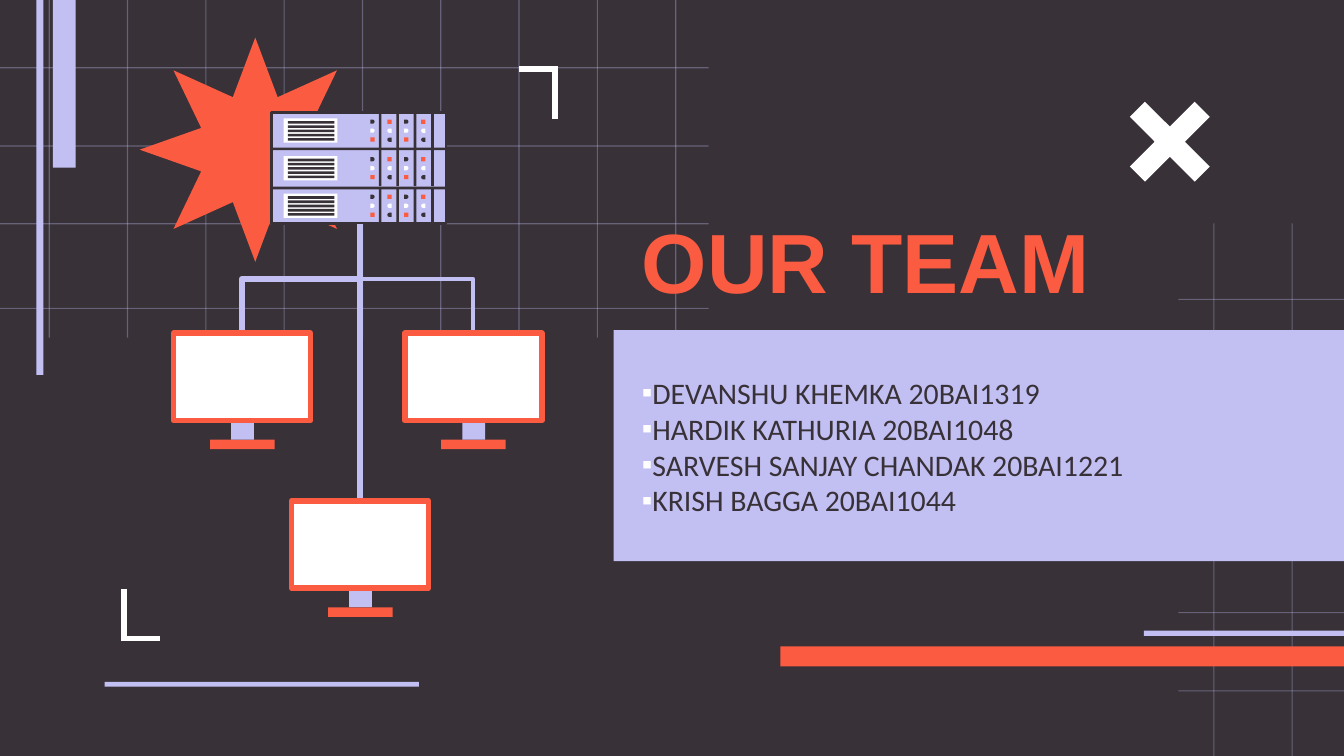
"""Build the team slide with its server and three screens."""
from typing import NamedTuple, Optional

from lxml.etree import SubElement
from pptx import Presentation
from pptx.dml.color import RGBColor
from pptx.enum.shapes import MSO_CONNECTOR, MSO_SHAPE
from pptx.enum.text import MSO_ANCHOR, MSO_AUTO_SIZE, PP_ALIGN
from pptx.oxml.ns import qn
from pptx.util import Cm, Pt

DARK, LILAC, CORAL, WHITE = "383138", "C2C0F2", "FA5B41", "FFFFFF"
WIDE, HIGH = 25.4, 14.29
STEP = 1.48
RECT, DELAY = MSO_SHAPE.RECTANGLE, MSO_SHAPE.FLOWCHART_DELAY


class Box(NamedTuple):
    left: float
    top: float
    width: float
    height: float


class Line(NamedTuple):
    x1: float
    y1: float
    x2: float
    y2: float


class Lamp(NamedTuple):
    kind: MSO_SHAPE
    tint: str


class Point(NamedTuple):
    x: float
    y: float


BARS = [
    (Box(14.75, 12.22, 10.65, 0.38), CORAL),
    (Box(21.62, 11.92, 3.78, 0.1), LILAC),
    (Box(1.98, 12.89, 5.94, 0.09), LILAC),
    (Box(1, 0, 0.43, 3.17), LILAC),
    (Box(0.69, 0, 0.13, 7.09), LILAC),
    (Box(11.6, 6.24, 13.8, 4.37), LILAC),
]
EDGES = [
    Line(10.49, 2.24, 10.49, 1.3),
    Line(10.54, 1.3, 9.8, 1.3),
    Line(2.34, 11.13, 2.34, 12.07),
    Line(2.29, 12.07, 3.02, 12.07),
]
LAMPS = [Lamp(DELAY, DARK), Lamp(DELAY, WHITE), Lamp(RECT, CORAL)]
SCREENS = [Point(3.28, 6.3), Point(7.65, 6.3), Point(5.51, 9.47)]
HUB = Point(6.81, 4.24)
TEAM = [
    "DEVANSHU KHEMKA 20BAI1319",
    "HARDIK KATHURIA 20BAI1048",
    "SARVESH SANJAY CHANDAK 20BAI1221",
    "KRISH BAGGA 20BAI1044",
]


def paint(color, tint: str) -> None:
    color.rgb = RGBColor.from_string(tint)


def draw(slide, box: Box, tint: str, kind=RECT, edge: Optional[str] = None,
         weight: float = 0, adjust: Optional[float] = None):
    shape = slide.shapes.add_shape(kind, *map(Cm, box))
    shape.shadow.inherit = False
    shape.fill.solid()
    paint(shape.fill.fore_color, tint)
    if edge:
        paint(shape.line.color, edge)
        shape.line.width = Pt(weight)
    else:
        shape.line.fill.background()
    if adjust is not None:
        shape.adjustments[0] = adjust
    return shape


def link(slide, line: Line, tint: str, weight: float,
         kind=MSO_CONNECTOR.STRAIGHT):
    wire = slide.shapes.add_connector(kind, *map(Cm, line))
    paint(wire.line.color, tint)
    wire.line.width = Pt(weight)
    SubElement(wire.element.spPr, qn("a:effectLst"))
    return wire


def draw_grid(slide) -> None:
    left = [Line(0.93 + STEP * i, 0, 0.93 + STEP * i, 6.38) for i in range(9)]
    left += [Line(0, y, 13.39, y) for y in (1.28, 2.76, 4.23, 5.83)]
    right = [Line(22.27, 5.66 + STEP * i, WIDE, 5.66 + STEP * i)
             for i in range(6)]
    right += [Line(x, 4.22, x, HIGH) for x in (22.94, 24.42)]
    for line in right + left:
        wire = link(slide, line, LILAC, 0.6)
        color = next(wire.element.iter(qn("a:srgbClr")))
        SubElement(color, qn("a:alpha"), val="35000")


def draw_cable(slide, end: Point, weight: float) -> None:
    drop, run = end.y - HUB.y, abs(end.x - HUB.x)
    x, y = (HUB.x + end.x) / 2, (HUB.y + end.y) / 2
    side, turn = (-1, 90) if end.x < HUB.x else (1, 270)
    line = Line(x + side * drop / 2, y - run / 2,
                x - side * drop / 2, y + run / 2)
    wire = link(slide, line, LILAC, weight, MSO_CONNECTOR.ELBOW)
    wire.element.spPr.xfrm.rot = turn


def draw_rack(slide, top: float) -> None:
    draw(slide, Box(5.36, top + 0.11, 1.02, 0.46), WHITE)
    for i in range(5):
        draw(slide, Box(5.44, top + 0.16 + 0.08 * i, 0.88, 0.05), DARK)
    for i in range(4):
        odd = i % 2
        for j, lamp in enumerate(LAMPS[::-1] if odd else LAMPS):
            box = Box(7 + 0.32 * i, top + 0.13 + 0.17 * j, 0.08, 0.08)
            draw(slide, box, lamp.tint, lamp.kind).rotation = 180 * odd
        draw(slide, Box(7.16 + 0.33 * i, top, 0.05, 0.68), DARK)


def draw_server(slide) -> None:
    draw(slide, Box(5.13, 2.13, 3.3, 2.1), LILAC, edge=DARK, weight=1.5)
    for i in range(3):
        draw_rack(slide, 2.13 + 0.71 * i)
    for y in (2.79, 3.53):
        draw(slide, Box(5.16, y, 3.3, 0.05), DARK)


def draw_screen(slide, at: Point) -> None:
    draw(slide, Box(at.x + 0.69, at.y + 2.01, 1.22, 0.18), CORAL)
    draw(slide, Box(at.x + 1.09, at.y + 1.65, 0.43, 0.36), LILAC)
    draw(slide, Box(*at, 2.59, 1.65), WHITE, edge=CORAL, weight=3)


def write(slide, holder, box: Box, lines: list[str], font: str, size: float,
          tint: str, bold: bool = False, mark: Optional[str] = None) -> None:
    slide.shapes.element.append(holder.element)
    holder.left, holder.top, holder.width, holder.height = map(Cm, box)
    frame = holder.text_frame
    frame.text = "\n".join(lines)
    frame.word_wrap = True
    frame.auto_size = MSO_AUTO_SIZE.NONE
    frame.vertical_anchor = MSO_ANCHOR.MIDDLE
    frame.margin_left = frame.margin_right = Cm(0.25)
    frame.margin_top = frame.margin_bottom = Cm(0.25)
    for para in frame.paragraphs:
        para.alignment = PP_ALIGN.LEFT
        para.space_before = Pt(0)
        if mark:
            props = para._p.get_or_add_pPr()
            props.set("marL", "0")
            props.set("indent", "0")
            color = SubElement(props, qn("a:buClr"))
            SubElement(color, qn("a:srgbClr"), val=WHITE)
            SubElement(props, qn("a:buFont"), typeface="Arial")
            SubElement(props, qn("a:buChar"), char=mark)
        para.font.name, para.font.size = font, Pt(size)
        para.font.bold = bold
        paint(para.font.color, tint)


def main() -> None:
    deck = Presentation()
    deck.slide_width, deck.slide_height = Cm(WIDE), Cm(HIGH)
    slide = deck.slides.add_slide(deck.slide_layouts[1])
    slide.background.fill.solid()
    paint(slide.background.fill.fore_color, DARK)
    title, body = slide.placeholders

    draw_grid(slide)
    for box, tint in BARS:
        draw(slide, box, tint)
    draw(slide, Box(20.93, 1.5, 2.36, 2.36), WHITE,
         MSO_SHAPE.MATH_MULTIPLY, adjust=0.171)
    write(slide, title, Box(11.88, 3.87, 10.8, 2.1), ["OUR TEAM"],
          "Arial", 45, CORAL, bold=True)
    write(slide, body, Box(11.88, 6.53, 10.8, 3.81), TEAM,
          "Calibri", 16, DARK, mark="▪")
    for line in EDGES:
        link(slide, line, WHITE, 3)
    draw(slide, Box(2.64, 0.71, 4.37, 4.24), CORAL,
         MSO_SHAPE.STAR_8_POINT, adjust=0.253)
    draw_cable(slide, Point(4.57, 6.3), 3)
    draw_cable(slide, Point(8.94, 6.3), 2.25)
    draw_server(slide)
    draw_cable(slide, Point(HUB.x, 9.47), 3)
    for at in SCREENS:
        draw_screen(slide, at)
    deck.save("out.pptx")


if __name__ == "__main__":
    main()
